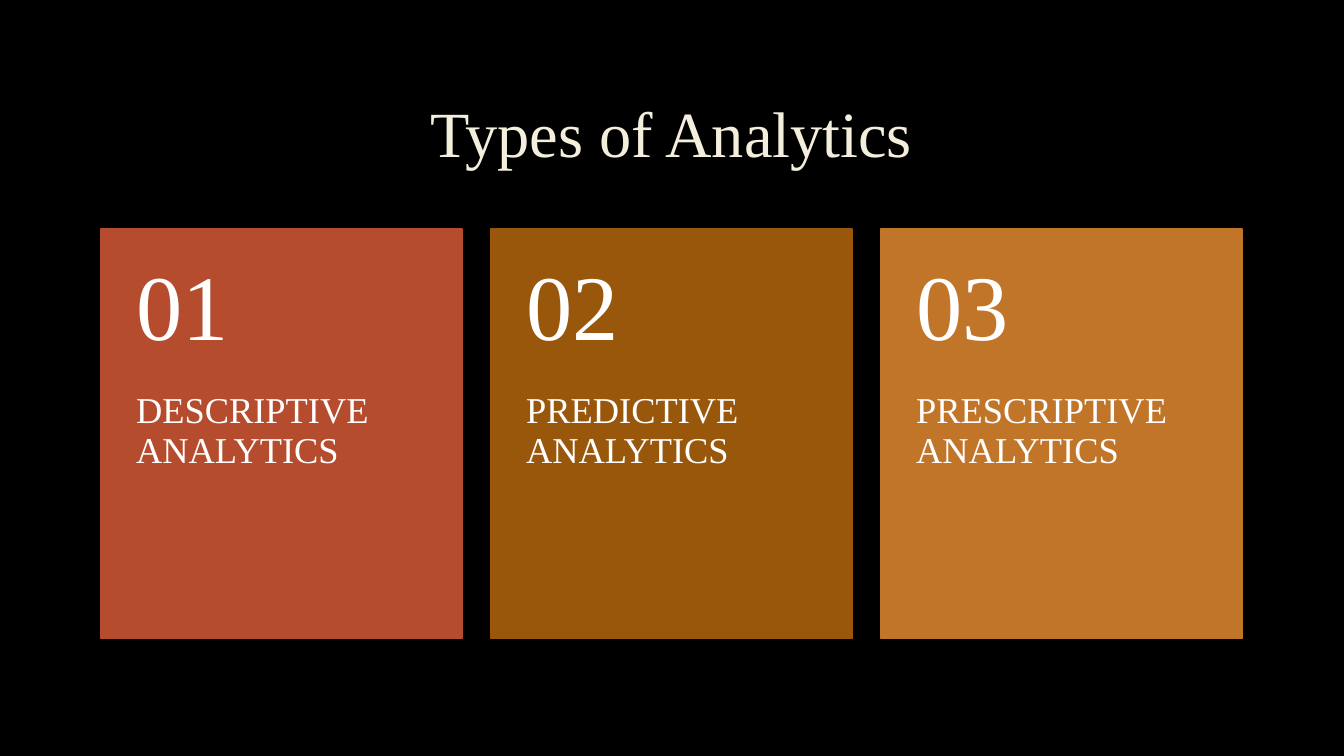
from pptx import Presentation
from pptx import util as u
from pptx.dml.color import RGBColor
from pptx.enum import shapes, text

BLACK = RGBColor(0x00, 0x00, 0x00)
CREAM = RGBColor(0xF4, 0xEE, 0xDC)
WHITE = RGBColor(0xFF, 0xFF, 0xFF)
RUST = RGBColor(0xB5, 0x4C, 0x2D)
BROWN = RGBColor(0x99, 0x57, 0x0C)
OCHRE = RGBColor(0xC1, 0x75, 0x29)

LEFT, TOP = 2.54, 5.77
WIDTH, HEIGHT = 9.1, 10.32
STEP = 9.83
HEAD = 4.12
CARDS = [
    ("DESCRIPTIVE ANALYTICS", RUST),
    ("PREDICTIVE ANALYTICS", BROWN),
    ("PRESCRIPTIVE ANALYTICS", OCHRE),
]


class Deck:
    font = "Times New Roman"
    middle = text.MSO_ANCHOR.MIDDLE

    def __init__(self, show):
        self.slide = show.slides.add_slide(show.slide_layouts[6])
        fill = self.slide.background.fill
        fill.solid()
        fill.fore_color.rgb = BLACK

    def label(self, home, words, box, size, color, inset, anchor=text.MSO_ANCHOR.TOP,
              align=text.PP_ALIGN.LEFT):
        frame = home.shapes.add_textbox(*map(u.Cm, box)).text_frame
        frame.word_wrap = True
        frame.vertical_anchor = anchor
        (frame.margin_left, frame.margin_top,
         frame.margin_right, frame.margin_bottom) = map(u.Cm, inset)
        frame.text = words
        para = frame.paragraphs[0]
        para.alignment = align
        para.line_spacing = 0.9
        font = para.runs[0].font
        font.name = self.font
        font.size = u.Pt(size)
        font.color.rgb = color

    def panel(self, home, box, color):
        rect = home.shapes.add_shape(shapes.MSO_SHAPE.RECTANGLE, *map(u.Cm, box))
        rect.shadow.inherit = False
        rect.fill.solid()
        rect.fill.fore_color.rgb = color
        rect.line.color.rgb = color
        rect.line.width = u.Pt(1.25)

    def card(self, home, left, number, words, color):
        self.panel(home, (left, TOP, WIDTH, HEIGHT), color)
        self.label(home, words, (left, TOP + HEAD, WIDTH, HEIGHT - HEAD), 26, WHITE,
                   (0.89, 0, 0.89, 0.91))
        self.label(home, number, (left, TOP, WIDTH, HEAD), 66, WHITE,
                   (0.89, 0.46, 0.89, 0.46), self.middle)


def main():
    show = Presentation()
    show.slide_width, show.slide_height = u.Cm(33.87), u.Cm(19.05)
    deck = Deck(show)
    deck.label(deck.slide, "Types of Analytics", (LEFT, 1.7, 28.75, 3.5), 46, CREAM,
               (0.25, 0.13, 0.25, 0.13), deck.middle, text.PP_ALIGN.CENTER)
    group = deck.slide.shapes.add_group_shape()
    for i, (words, color) in enumerate(CARDS):
        deck.card(group, LEFT + i * STEP, f"{i + 1:02}", words, color)
    show.save("out.pptx")


if __name__ == "__main__":
    main()
